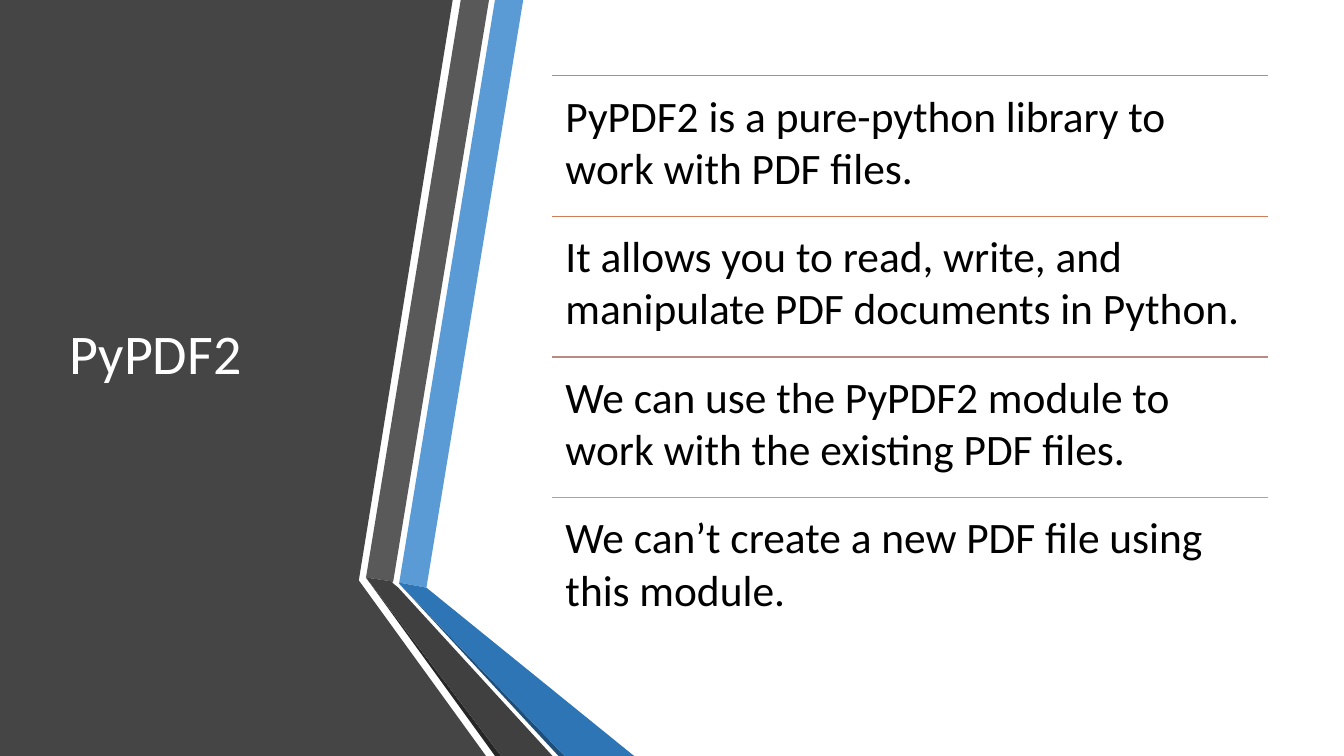
from dataclasses import dataclass

from pptx import Presentation
from pptx import util as u
from pptx.dml.color import RGBColor
from pptx.enum import shapes, text
from pptx.oxml import xmlchemy

WIDTH, HEIGHT = u.Inches(13.33), u.Inches(7.5)
HUNDREDTH = u.Inches(0.01)
FONT = "Calibri"

COLOURS = {
    "panel": "454545", "blue": "5B9BD5", "grey": "595959",
    "grey_edge": "262626", "blue_edge": "1F4E79",
    "blue_fold": "2E75B6", "grey_fold": "404040",
    "title": "FFFFFF", "statement": "000000",
    "orange": "ED7D31", "copper": "D17B5C", "rose": "B98A82", "silver": "A5A5A5",
}


@dataclass(frozen=True)
class Facet:
    colour: str
    points: tuple[tuple[int, int], ...]  # hundredths of an inch


@dataclass(frozen=True)
class Statement:
    rule: str
    words: str


FACETS = [
    Facet("panel", ((0, 0), (449, 0), (356, 575), (356, 576), (482, 750), (0, 750))),
    Facet("blue", ((396, 578), (423, 583), (519, 0), (491, 0))),
    Facet("grey", ((485, 0), (457, 0), (363, 573), (390, 577))),
    Facet("grey_edge", ((363, 573), (491, 750), (497, 750))),
    Facet("blue_edge", ((396, 579), (554, 750), (560, 750))),
    Facet("blue_fold", ((396, 579), (560, 750), (629, 750), (423, 583), (396, 578))),
    Facet("grey_fold", ((548, 750), (395, 583), (389, 578), (390, 577),
                        (363, 573), (497, 750))),
]

STATEMENTS = [
    Statement("orange", "PyPDF2 is a pure-python library to work with PDF files."),
    Statement("copper", "It allows you to read, write, and manipulate PDF documents in Python."),
    Statement("rose", "We can use the PyPDF2 module to work with the existing PDF files."),
    Statement("silver", "We can\u2019t create a new PDF file using this module."),
]

# Shares of the slide, in percent
TOP, ROW = 10, 18.6
TITLE_LEFT, TITLE_WIDTH = 4.42, 22.8
LIST_LEFT, LIST_WIDTH = 41.1, 53.25


def across(percent: float) -> int:
    return u.Emu(round(WIDTH * percent / 100))


def down(percent: float) -> int:
    return u.Emu(round(HEIGHT * percent / 100))


def colour(name: str) -> RGBColor:
    return RGBColor.from_string(COLOURS[name])


def add_span(para, words: str, size: float, ink: str) -> None:
    span = para.add_run()
    span.text = words
    span.font.name = FONT
    span.font.size = u.Pt(size)
    span.font.color.rgb = colour(ink)


def draw_facet(page, facet: Facet) -> None:
    start, *others = facet.points
    builder = page.shapes.build_freeform(*start, scale=HUNDREDTH)
    builder.add_line_segments(others, close=True)
    shape = builder.convert_to_shape()
    shape.shadow.inherit = False
    shape.fill.solid()
    shape.fill.fore_color.rgb = colour(facet.colour)
    shape.line.fill.background()


def draw_title(page, words: str) -> None:
    title = page.shapes.title
    title.left, title.top = across(TITLE_LEFT), down(TOP)
    title.width, title.height = across(TITLE_WIDTH), down(ROW * len(STATEMENTS))
    frame = title.text_frame
    frame.word_wrap = True
    frame.auto_size = text.MSO_AUTO_SIZE.NONE
    frame.vertical_anchor = text.MSO_ANCHOR.MIDDLE
    para = frame.paragraphs[0]
    para.alignment = text.PP_ALIGN.LEFT
    para.line_spacing = 0.9
    add_span(para, words, 40, "title")
    # Bring the title in front of the panel
    title.element.getparent().append(title.element)


def draw_statement(page, row: int, statement: Statement) -> None:
    left, top, width = across(LIST_LEFT), down(TOP + row * ROW), across(LIST_WIDTH)
    rule = page.shapes.add_connector(
        shapes.MSO_CONNECTOR.STRAIGHT, left, top, left + width, top)
    rule.line.color.rgb = colour(statement.rule)
    rule.line.width = u.Pt(1)
    properties = rule.element.spPr
    properties.append(xmlchemy.OxmlElement("a:effectLst"))

    box = page.shapes.add_textbox(left, top, width, down(ROW))
    frame = box.text_frame
    frame.word_wrap = True
    frame.margin_left = frame.margin_right = u.Inches(0.13)
    frame.margin_top = frame.margin_bottom = u.Inches(0.13)
    add_span(frame.paragraphs[0], statement.words, 31, "statement")


deck = Presentation()
deck.slide_width, deck.slide_height = WIDTH, HEIGHT
page = deck.slides.add_slide(deck.slide_layouts.get_by_name("Title Only"))

# Dark panel and folded ribbons
for facet in FACETS:
    draw_facet(page, facet)

# Title on the panel
draw_title(page, "PyPDF2")

# Ruled statements
for row, statement in enumerate(STATEMENTS):
    draw_statement(page, row, statement)

deck.save("out.pptx")
